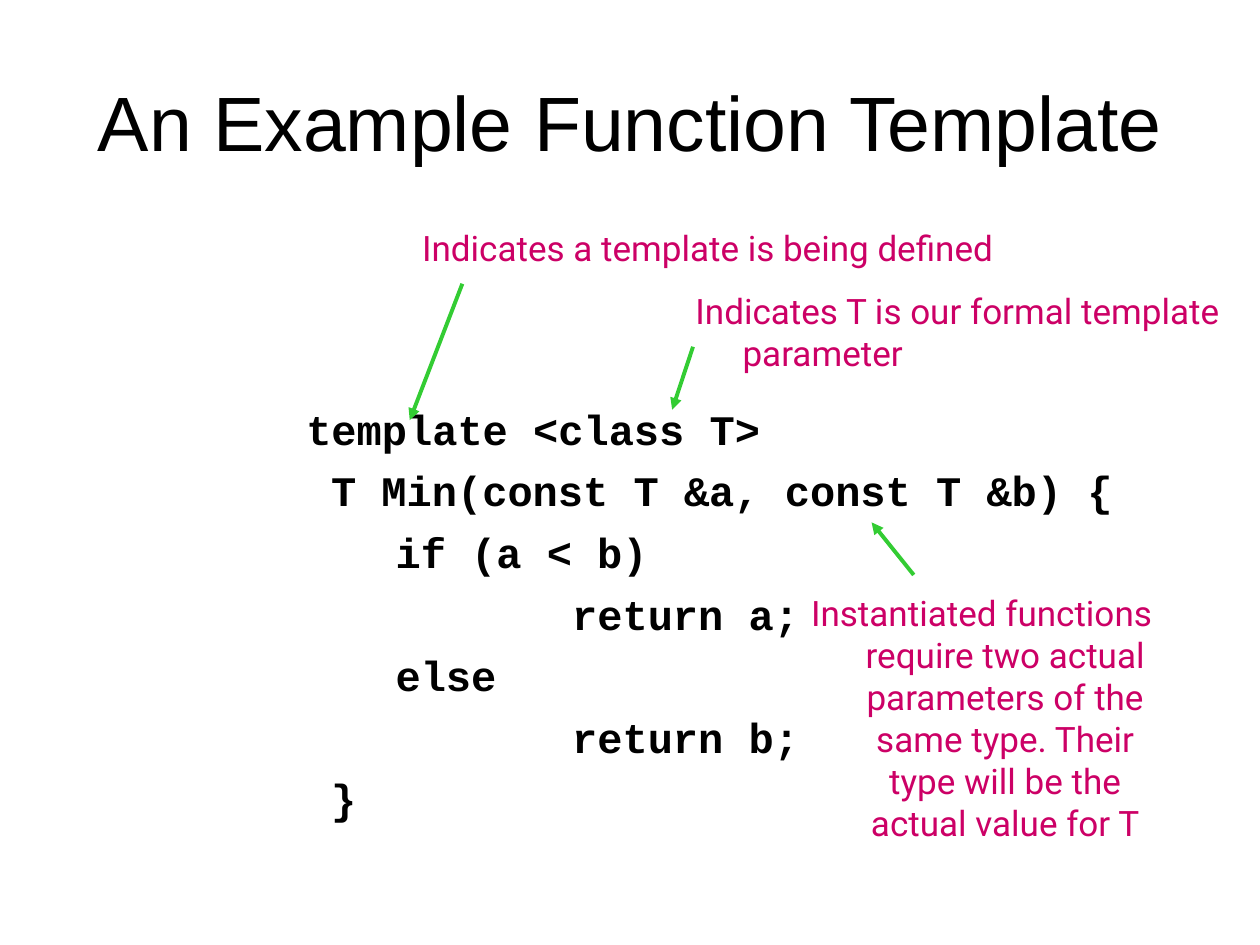
from lxml import etree
from pptx import Presentation
from pptx.dml.color import RGBColor
from pptx.enum.shapes import MSO_CONNECTOR
from pptx.enum.text import MSO_ANCHOR, MSO_AUTO_SIZE, PP_ALIGN
from pptx.oxml.ns import qn
from pptx.util import Cm, Pt

BLACK = RGBColor(0x00, 0x00, 0x00)
PINK = RGBColor(0xCC, 0x00, 0x66)
GREEN = RGBColor(0x33, 0xCC, 0x33)


def put(para, text, font="Arial", size=20, color=BLACK, bold=False,
        align=PP_ALIGN.LEFT, left=0, hang=0, gap=0):
    run = para.add_run()
    run.text = text
    run.font.name = font
    run.font.size = Pt(size)
    run.font.bold = bold
    run.font.color.rgb = color
    para.alignment = align
    para.space_before = Pt(gap)
    props = para._p.get_or_add_pPr()
    props.set("marL", str(Cm(left)))
    props.set("indent", str(Cm(-hang)))
    etree.SubElement(props, qn("a:buNone"))


deck = Presentation()
deck.slide_width, deck.slide_height = Cm(25.4), Cm(19.05)
slide = deck.slides.add_slide(deck.slide_layouts[1])

# Title
title = slide.shapes.title
title.left, title.top = Cm(1.7), Cm(0.84)
title.width, title.height = Cm(22.02), Cm(3.18)
title.text_frame.vertical_anchor = MSO_ANCHOR.MIDDLE
put(title.text_frame.paragraphs[0], "An Example Function Template",
    size=44, align=PP_ALIGN.CENTER)

# Code: left indent in cm and text of each line
code = [
    (4.83, "template <class T>"),
    (5.33, "T Min(const T &a, const T &b) {"),
    (6.63, "if (a < b)"),
    (10.19, "return a;"),
    (6.63, "else"),
    (10.19, "return b;"),
    (5.33, "}"),
]
body = slide.placeholders[1]
body.left, body.top = Cm(1.09), Cm(3.53)
body.width, body.height = Cm(22.86), Cm(12.57)
frame = body.text_frame
frame.auto_size = MSO_AUTO_SIZE.NONE
frame.vertical_anchor = MSO_ANCHOR.TOP
frame.margin_top, frame.margin_bottom = Cm(4.6), 0
for row, (left, text) in enumerate(code):
    para = frame.add_paragraph() if row else frame.paragraphs[0]
    put(para, text, font="Courier New", size=24, bold=True,
        left=left, gap=6.4 if row else 0)

# Notes around the code
notes = [
    (8.26, 4.45, 13.34, 1.09, PP_ALIGN.LEFT,
     "Indicates a template is being defined"),
    (13.77, 5.72, 11.63, 1.96, PP_ALIGN.LEFT,
     "Indicates T is our formal template parameter"),
    (15.88, 11.79, 7.82, 5.33, PP_ALIGN.CENTER,
     "Instantiated functions require two actual parameters of the same "
     "type. Their type will be the actual value for T"),
]
for left, top, width, height, align, text in notes:
    box = slide.shapes.add_textbox(Cm(left), Cm(top), Cm(width), Cm(height))
    box.text_frame.word_wrap = True
    put(box.text_frame.paragraphs[0], text, font="Roboto", color=PINK,
        align=align, left=0.95, hang=0.95)

# Arrows from the notes to the code
arrows = [
    (9.32, 5.72, 8.26, 8.47),
    (13.97, 6.99, 13.55, 8.26),
    (18.42, 11.59, 17.57, 10.53),
]
for ends in arrows:
    arrow = slide.shapes.add_connector(MSO_CONNECTOR.STRAIGHT, *map(Cm, ends))
    arrow.line.color.rgb = GREEN
    arrow.line.width = Pt(2.25)
    etree.SubElement(arrow.line._get_or_add_ln(), qn("a:tailEnd"),
                     type="triangle")
    etree.SubElement(arrow._element.spPr, qn("a:effectLst"))

deck.save("out.pptx")
